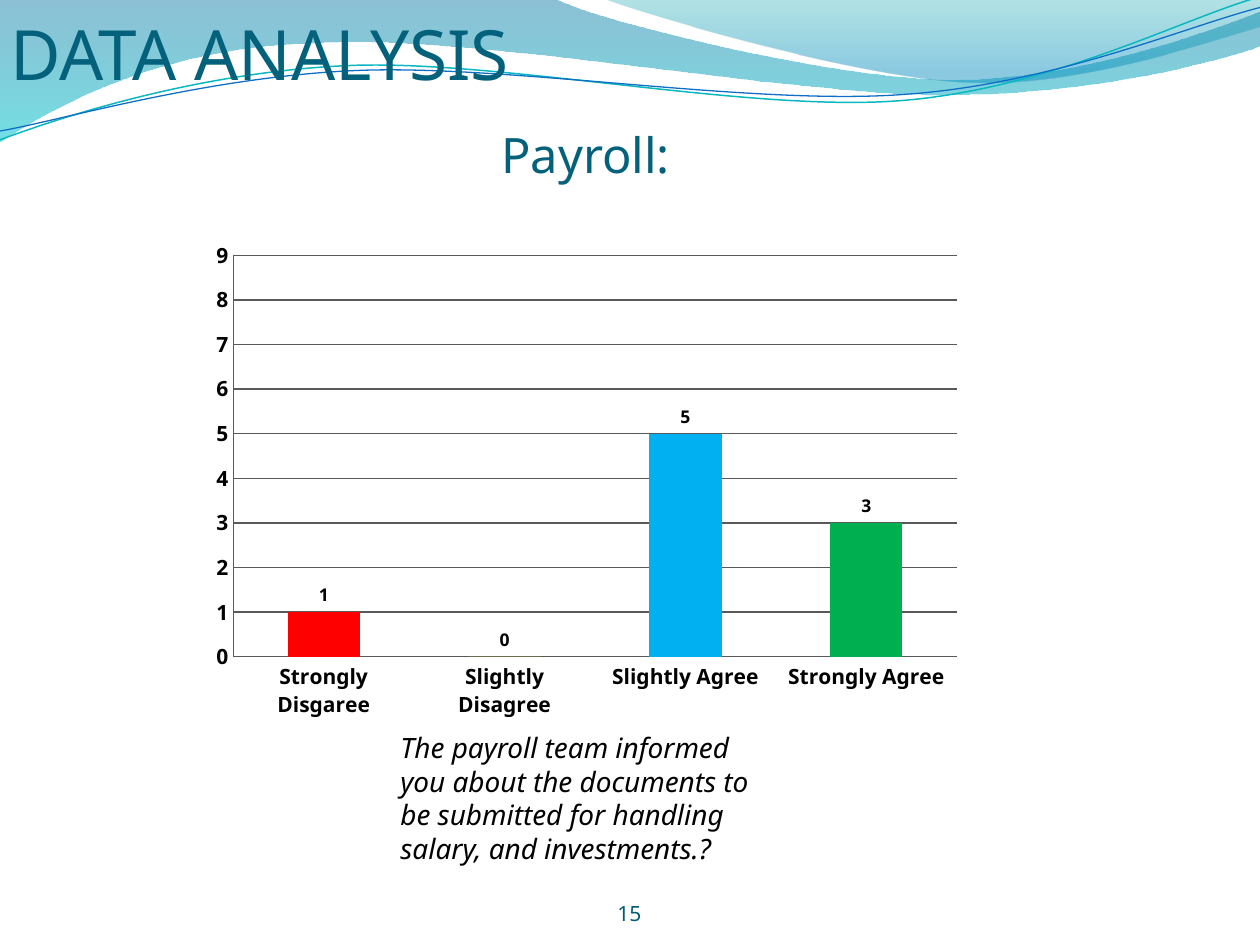
import math
from lxml import etree
from pptx import Presentation
from pptx import util as u
from pptx.chart.data import CategoryChartData
from pptx.dml.color import RGBColor
from pptx.enum import chart as ch, text
from pptx.oxml import parse_xml
from pptx.oxml.ns import nsdecls, qn

FONT = "Noto Sans"
COLORS = {"title": "04617B", "number": "045D75", "body": "000000", "axis": "595959",
          "teal_line": "0AB8BF", "blue_line": "0F6FC6"}

WAVES = [
    {"start": (0, 0),
     "curves": [[(4.4, -0.01)],
                [(4.76, 0.17), (6.64, 0.63), (7.58, 0.63)],
                [(8.53, 0.63), (9.58, 0.26), (10, 0.09)],
                [(10.01, 0.36)],
                [(9.83, 0.44), (8.7, 0.76), (7.46, 0.75)],
                [(6.22, 0.75), (3.82, 0.28), (2.57, 0.34)],
                [(1.29, 0.36), (0.46, 0.83), (-0.01, 1.13)]],
     "gradient": [(0, "0074A1", 45), (100, "00C6CF", 55)]},
    {"start": (4.79, -0.01),
     "curves": [[(5.09, 0.11), (6.82, 0.62), (7.69, 0.65)],
                [(8.56, 0.69), (9.61, 0.32), (10, 0.21)],
                [(10, 0)]],
     "gradient": [(0, "00A1A9", 30), (80, "008BBF", 45)]},
    {"start": (0, 1.11), "turn": -2.7, "center": (4.99, 0.575),
     "curves": [[(0.48, 0.93), (1.58, 0.57), (2.77, 0.52)],
                [(3.95, 0.47), (5.93, 0.89), (7.13, 0.8)],
                [(8.33, 0.71), (9.38, 0.15), (9.98, -0.02)]],
     "line": ("teal_line", 0.85)},
    {"start": (0, 1.04), "turn": -2.7, "center": (5, 0.59),
     "curves": [[(0.47, 0.96), (1.64, 0.61), (2.83, 0.56)],
                [(4.03, 0.51), (5.97, 0.84), (7.17, 0.75)],
                [(8.36, 0.67), (9.41, 0.21), (10, 0.06)]],
     "line": ("blue_line", 0.75)},
]

TITLE = {"runs": [("DATA ANALYSIS", 39.6), ("Payroll:", 27.9)],
         "color": "title", "spacing": 50.5, "hanging": 3.9}
QUESTION = {"runs": [("The payroll team informed you about the documents to be submitted "
                      "for handling salary, and investments.?", 16)],
            "color": "body", "italic": True}
PAGE_NUMBER = {"runs": [("15", 12)], "color": "number", "align": text.PP_ALIGN.CENTER}

ANSWERS = [("Strongly Disgaree", 1, "FF0000"), ("Slightly Disagree", 0, "FFFF00"),
           ("Slightly Agree", 5, "00B0F0"), ("Strongly Agree", 3, "00B050")]
PLOT_LAYOUT = {"x": 0.043, "y": 0.045, "w": 0.907, "h": 0.813}


def rgb(name):
    return RGBColor.from_string(COLORS.get(name, name))


def rotate(point, center, degrees):
    angle = math.radians(degrees)
    dx, dy = point[0] - center[0], point[1] - center[1]
    return (center[0] + dx * math.cos(angle) - dy * math.sin(angle),
            center[1] + dx * math.sin(angle) + dy * math.cos(angle))


def bend(shape, curves):
    segments = iter(list(shape._element.iter(qn("a:lnTo"))))
    for curve in curves:
        lines = [next(segments) for _ in curve]
        if len(lines) == 3:
            bezier = etree.Element(qn("a:cubicBezTo"))
            lines[0].addprevious(bezier)
            for line in lines:
                bezier.append(line[0])
                line.getparent().remove(line)


def add_wave(page, wave):
    filled = "gradient" in wave
    turn = wave.get("turn", 0)
    corners = [wave["start"], *(point for curve in wave["curves"] for point in curve)]
    points = [tuple(map(u.Inches, rotate(corner, wave.get("center", (0, 0)), -turn)))
              for corner in corners]
    builder = page.shapes.build_freeform(*points[0])
    builder.add_line_segments(points[1:], close=filled)
    shape = builder.convert_to_shape()
    bend(shape, wave["curves"])
    shape.rotation = turn
    shape.shadow.inherit = False
    if filled:
        shape.line.fill.background()
        stops = "".join(
            f'<a:gs pos="{pos * 1000}"><a:srgbClr val="{color}">'
            f'<a:alpha val="{alpha * 1000}"/></a:srgbClr></a:gs>'
            for pos, color, alpha in wave["gradient"])
        gradient = parse_xml(f'<a:gradFill {nsdecls("a")}><a:gsLst>{stops}</a:gsLst>'
                             '<a:lin ang="5400000" scaled="0"/></a:gradFill>')
        shape._element.spPr.find(qn("a:custGeom")).addnext(gradient)
    else:
        color, width = wave["line"]
        shape.fill.background()
        shape.line.color.rgb = rgb(color)
        shape.line.width = u.Pt(width)


def style_font(font, size, color="body", bold=None):
    font.name = FONT
    font.size = u.Pt(size)
    font.color.rgb = rgb(color)
    font.bold = bold


def add_text(page, place, content, insets, anchor):
    box = page.shapes.add_textbox(*map(u.Inches, place))
    frame = box.text_frame
    frame.word_wrap = True
    frame.vertical_anchor = anchor
    frame.margin_left, frame.margin_top, frame.margin_right, frame.margin_bottom = map(
        u.Inches, insets)
    para = frame.paragraphs[0]
    para.alignment = content.get("align")
    if "spacing" in content:
        para.line_spacing = u.Pt(content["spacing"])
    if "hanging" in content:
        hanging = u.Inches(content["hanging"])
        properties = para._p.get_or_add_pPr()
        properties.set("marL", str(hanging))
        properties.set("indent", str(-hanging))
    for index, (words, size) in enumerate(content["runs"]):
        if index:
            para.add_line_break()
        span = para.add_run()
        span.text = words
        style_font(span.font, size, content["color"])
        span.font.italic = content.get("italic")


def add_answer_chart(page):
    data = CategoryChartData()
    data.categories = [name for name, _, _ in ANSWERS]
    data.add_series("Series 1", [value for _, value, _ in ANSWERS])
    chart = page.shapes.add_chart(ch.XL_CHART_TYPE.COLUMN_CLUSTERED,
                                  *map(u.Inches, (1.58, 1.85, 6.33, 3.92)), data).chart
    chart.has_legend = False
    chart.has_title = False
    style_font(chart.font, 10)

    for axis in (chart.category_axis, chart.value_axis):
        axis.major_tick_mark = axis.minor_tick_mark = ch.XL_TICK_MARK.NONE
        style_font(axis.tick_labels.font, 12, bold=True)
        axis.format.line.color.rgb = rgb("axis")
    scale = chart.value_axis
    scale.minimum_scale, scale.maximum_scale, scale.major_unit = 0, 9, 1
    scale.tick_labels.number_format = "0"
    scale.tick_labels.number_format_is_linked = False
    scale.has_major_gridlines = True
    scale.major_gridlines.format.line.color.rgb = rgb("axis")

    plot = chart.plots[0]
    plot.vary_by_categories = False
    plot.gap_width = 150
    series = plot.series[0]
    series.format.fill.solid()
    series.format.fill.fore_color.rgb = rgb(ANSWERS[0][2])
    for index, (_, _, color) in enumerate(ANSWERS[1:], 1):
        fill = series.points[index].format.fill
        fill.solid()
        fill.fore_color.rgb = rgb(color)
    labels = series.data_labels
    labels.show_value = True
    labels.position = ch.XL_LABEL_POSITION.OUTSIDE_END
    style_font(labels.font, 10, bold=True)

    area = chart._chartSpace.chart.plotArea
    for old in area.findall(qn("c:layout")):
        area.remove(old)
    layout = etree.Element(qn("c:layout"))
    manual = etree.SubElement(layout, qn("c:manualLayout"))
    settings = {"layoutTarget": "inner", "xMode": "edge", "yMode": "edge", **PLOT_LAYOUT}
    for tag, value in settings.items():
        etree.SubElement(manual, qn(f"c:{tag}")).set("val", str(value))
    area.insert(0, layout)


def main():
    deck = Presentation()
    deck.slide_width, deck.slide_height = u.Inches(10), u.Inches(7.5)
    page = deck.slides.add_slide(deck.slide_layouts[6])
    for wave in WAVES:
        add_wave(page, wave)
    bottom, top = text.MSO_ANCHOR.BOTTOM, text.MSO_ANCHOR.TOP
    add_text(page, (0.08, 0.25, 9.08, 1.25), TITLE, (0, 0, 0, 0.05), bottom)
    add_text(page, (4.58, 6.95, 0.83, 0.4), PAGE_NUMBER, (0, 0, 0, 0), bottom)
    add_text(page, (3.08, 5.75, 3.17, 1.18), QUESTION, (0.1, 0.05, 0.1, 0.05), top)
    add_answer_chart(page)
    deck.save("out.pptx")


if __name__ == "__main__":
    main()
